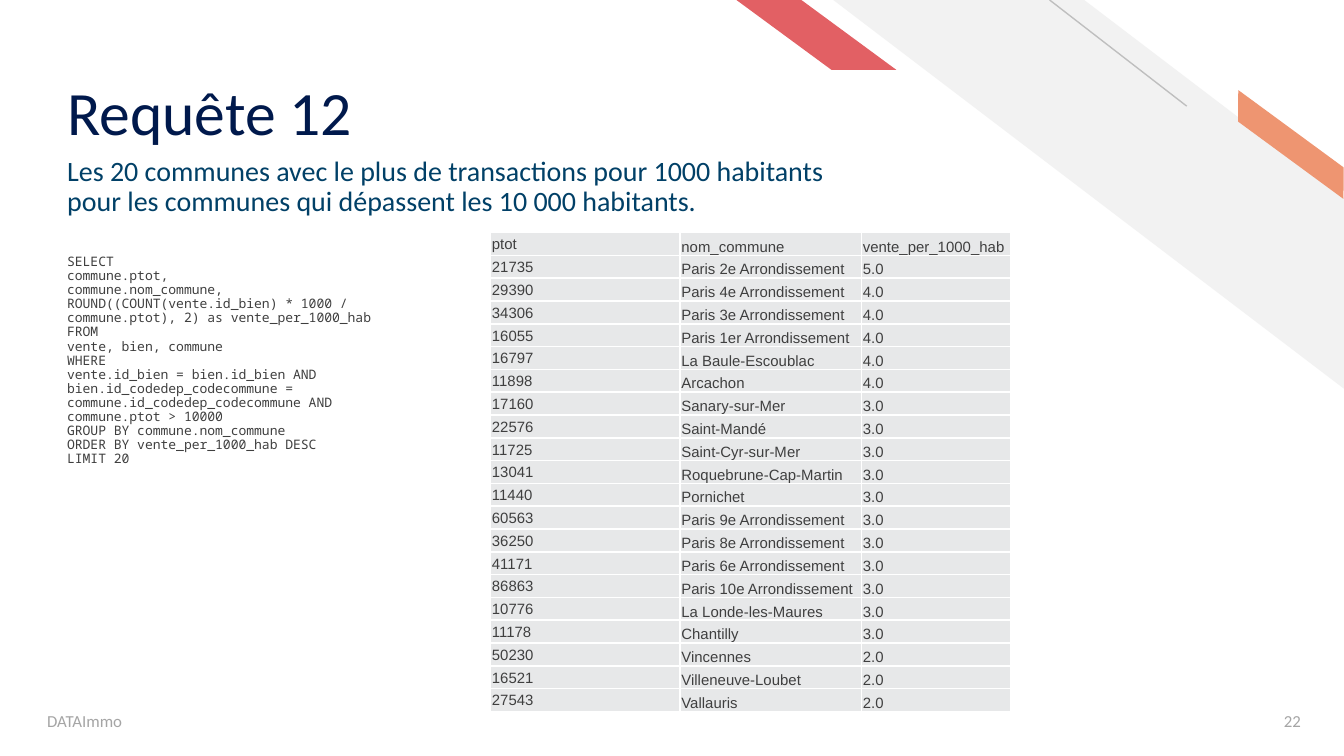
from dataclasses import dataclass

from lxml import etree
from pptx import Presentation
from pptx.dml.color import RGBColor
from pptx.enum.shapes import MSO_CONNECTOR, MSO_SHAPE
from pptx.enum.text import MSO_ANCHOR, PP_ALIGN
from pptx.oxml.ns import qn
from pptx.util import Inches, Pt

STRIPE = MSO_SHAPE.DIAGONAL_STRIPE
PARALLELOGRAM = MSO_SHAPE.PARALLELOGRAM
STRAIGHT = MSO_CONNECTOR.STRAIGHT
TOP, MIDDLE, BOTTOM = MSO_ANCHOR.TOP, MSO_ANCHOR.MIDDLE, MSO_ANCHOR.BOTTOM
LEFT, RIGHT = PP_ALIGN.LEFT, PP_ALIGN.RIGHT

WHITE = RGBColor(0xFF, 0xFF, 0xFF)
PALE_GREY = RGBColor(0xF2, 0xF2, 0xF2)
CELL_GREY = RGBColor(0xE7, 0xE8, 0xE9)
LINE_GREY = RGBColor(0xBF, 0xBF, 0xBF)
FOOTER_GREY = RGBColor(0xA5, 0xA5, 0xA5)
DARK_GREY = RGBColor(0x3F, 0x3F, 0x3F)
ORANGE = RGBColor(0xEE, 0x95, 0x71)
RED = RGBColor(0xE2, 0x60, 0x64)
NAVY = RGBColor(0x00, 0x19, 0x4C)
TEAL = RGBColor(0x01, 0x40, 0x67)

SLIDE_WIDTH = Inches(10)
SLIDE_HEIGHT = SLIDE_WIDTH * 9 // 16


@dataclass
class Band:
    preset: MSO_SHAPE
    box: tuple[float, float, float, float]
    adjustment: float
    color: RGBColor
    rotation: float = 0


@dataclass
class TextBlock:
    box: tuple[float, float, float, float]
    lines: list[str]
    size: float
    color: RGBColor
    font: str = "Calibri"
    anchor: MSO_ANCHOR = TOP
    align: PP_ALIGN = LEFT
    spacing: float = 0.9
    bottom_inset: float = 0.04


BANDS = [
    Band(STRIPE, (6.2, 0, 3.81, 2.9), 0.51, PALE_GREY),
    Band(PARALLELOGRAM, (9.05, 0.98, 1.11, 0.19), 0.72, ORANGE, 36.3),
    Band(PARALLELOGRAM, (5.48, 0, 1.19, 0.52), 1.36, RED),
]

QUERY = """SELECT
commune.ptot,
commune.nom_commune,
ROUND((COUNT(vente.id_bien) * 1000 / commune.ptot), 2) as vente_per_1000_hab
FROM
vente, bien, commune
WHERE
vente.id_bien = bien.id_bien AND
bien.id_codedep_codecommune = commune.id_codedep_codecommune AND
commune.ptot > 10000
GROUP BY commune.nom_commune
ORDER BY vente_per_1000_hab DESC
LIMIT 20"""

SUBTITLE = ("Les 20 communes avec le plus de transactions pour 1000 habitants "
            "pour les communes qui dépassent les 10 000 habitants.")

TEXT_BLOCKS = [
    TextBlock((0.43, 0.17, 6.83, 0.94), ["Requête 12"], 33, NAVY,
              anchor=BOTTOM, bottom_inset=0),
    TextBlock((0.28, 5.21, 3.38, 0.3), ["DATAImmo"], 9, FOOTER_GREY,
              anchor=MIDDLE, spacing=1.0),
    TextBlock((9.14, 5.21, 0.61, 0.3), ["22"], 9, FOOTER_GREY,
              anchor=MIDDLE, align=RIGHT, spacing=1.0),
    TextBlock((0.43, 1.13, 6.04, 0.5), [SUBTITLE], 15, TEAL),
    TextBlock((0.43, 1.86, 2.77, 1.65), QUERY.splitlines(), 7, DARK_GREY,
              font="Noto Sans Mono"),
]

COLUMN_WIDTHS = [1.41, 1.35, 1.11]
ROW_HEIGHT = 0.17
TABLE_ROWS = [
    ("ptot", "nom_commune", "vente_per_1000_hab"),
    ("21735", "Paris 2e Arrondissement", "5.0"),
    ("29390", "Paris 4e Arrondissement", "4.0"),
    ("34306", "Paris 3e Arrondissement", "4.0"),
    ("16055", "Paris 1er Arrondissement", "4.0"),
    ("16797", "La Baule-Escoublac", "4.0"),
    ("11898", "Arcachon", "4.0"),
    ("17160", "Sanary-sur-Mer", "3.0"),
    ("22576", "Saint-Mandé", "3.0"),
    ("11725", "Saint-Cyr-sur-Mer", "3.0"),
    ("13041", "Roquebrune-Cap-Martin", "3.0"),
    ("11440", "Pornichet", "3.0"),
    ("60563", "Paris 9e Arrondissement", "3.0"),
    ("36250", "Paris 8e Arrondissement", "3.0"),
    ("41171", "Paris 6e Arrondissement", "3.0"),
    ("86863", "Paris 10e Arrondissement", "3.0"),
    ("10776", "La Londe-les-Maures", "3.0"),
    ("11178", "Chantilly", "3.0"),
    ("50230", "Vincennes", "2.0"),
    ("16521", "Villeneuve-Loubet", "2.0"),
    ("27543", "Vallauris", "2.0"),
]


def apply_format(target, values: dict) -> None:
    for name, value in values.items():
        setattr(target, name, value)


def format_font(font, name: str, size: float, color: RGBColor) -> None:
    apply_format(font, {"name": name, "size": Pt(size)})
    font.color.rgb = color


def draw_band(slide, band: Band) -> None:
    """Draw a horizontally mirrored slanted band."""
    shape = slide.shapes.add_shape(band.preset, *map(Inches, band.box))
    shape.adjustments[0] = band.adjustment
    shape.rotation = band.rotation
    shape.shadow.inherit = False
    shape.fill.solid()
    shape.fill.fore_color.rgb = band.color
    shape.line.fill.background()
    shape._element.spPr.find(qn("a:xfrm")).set("flipH", "1")


def draw_thin_line(slide) -> None:
    line = slide.shapes.add_connector(
        STRAIGHT, Inches(8.83), Inches(0.79), Inches(7.81), Inches(0))
    line.line.color.rgb = LINE_GREY
    line.line.width = Pt(0.75)
    etree.SubElement(line._element.spPr, qn("a:effectLst"))


def draw_text(slide, block: TextBlock) -> None:
    frame = slide.shapes.add_textbox(*map(Inches, block.box)).text_frame
    apply_format(frame, {
        "word_wrap": True,
        "vertical_anchor": block.anchor,
        "margin_left": Inches(0.07),
        "margin_right": Inches(0.07),
        "margin_top": Inches(0.04),
        "margin_bottom": Inches(block.bottom_inset),
    })
    frame.text = "\n".join(block.lines)
    for paragraph in frame.paragraphs:
        apply_format(paragraph, {"alignment": block.align, "line_spacing": block.spacing})
        format_font(paragraph.runs[0].font, block.font, block.size, block.color)


def add_borders(cell) -> None:
    properties = cell._tc.get_or_add_tcPr()
    for side in ("lnL", "lnR", "lnT", "lnB"):
        border = etree.SubElement(properties, qn(f"a:{side}"), w=str(Pt(1)))
        fill = etree.SubElement(border, qn("a:solidFill"))
        etree.SubElement(fill, qn("a:srgbClr"), val=str(WHITE))


def draw_table(slide) -> None:
    table = slide.shapes.add_table(
        len(TABLE_ROWS), len(COLUMN_WIDTHS), Inches(3.65), Inches(1.73),
        Inches(sum(COLUMN_WIDTHS)), Inches(ROW_HEIGHT * len(TABLE_ROWS))).table
    apply_format(table, {"first_row": False, "horz_banding": False})
    for column, width in zip(table.columns, COLUMN_WIDTHS):
        column.width = Inches(width)
    for row, values in zip(table.rows, TABLE_ROWS):
        row.height = Inches(ROW_HEIGHT)
        for index, (cell, value) in enumerate(zip(row.cells, values)):
            apply_format(cell, {
                "text": value,
                "vertical_anchor": BOTTOM if index else MIDDLE,
                "margin_left": Inches(0.01),
                "margin_right": Inches(0.01),
                "margin_top": Inches(0.01),
                "margin_bottom": 0,
            })
            format_font(cell.text_frame.paragraphs[0].runs[0].font, "Arial", 8, DARK_GREY)
            add_borders(cell)
            cell.fill.solid()
            cell.fill.fore_color.rgb = CELL_GREY


def main() -> None:
    presentation = Presentation()
    presentation.slide_width = SLIDE_WIDTH
    presentation.slide_height = SLIDE_HEIGHT
    slide = presentation.slides.add_slide(presentation.slide_layouts[6])
    stripe, *accents = BANDS
    draw_band(slide, stripe)
    draw_thin_line(slide)
    for band in accents:
        draw_band(slide, band)
    for block in TEXT_BLOCKS:
        draw_text(slide, block)
    draw_table(slide)
    presentation.save("out.pptx")


if __name__ == "__main__":
    main()
